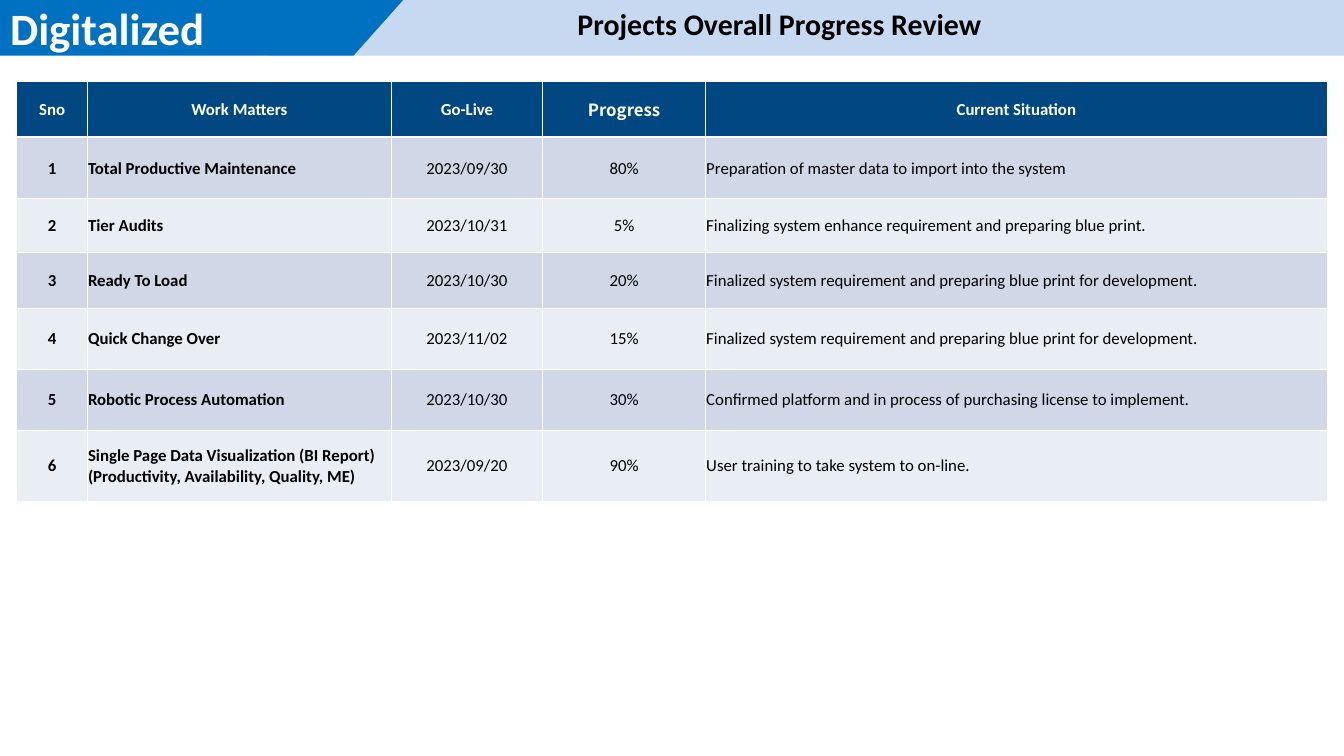
from lxml import etree
from pptx import Presentation
from pptx import util as u
from pptx.dml.color import RGBColor
from pptx.enum import text
from pptx.oxml import ns

CELL = u.Inches(0.25)
GRID_COLUMNS, GRID_ROWS = 80, 45

WHITE = RGBColor(0xFF, 0xFF, 0xFF)
BLACK = RGBColor(0x00, 0x00, 0x00)
PALE_BLUE = RGBColor(0xC6, 0xD9, 0xF1)
BRIGHT_BLUE = RGBColor(0x00, 0x70, 0xC0)
NAVY = RGBColor(0x01, 0x47, 0x82)
ROW_FILLS = RGBColor(0xD0, 0xD8, 0xE8), RGBColor(0xE9, 0xED, 0xF4)

FONT = "Calibri"
PROGRESS_FONT = "Noto Sans CJK SC"
CENTER, LEFT = text.PP_ALIGN.CENTER, text.PP_ALIGN.LEFT

COLUMN_WIDTHS = 4.2, 18.1, 9, 9.7, 37
COLUMN_ALIGNMENTS = CENTER, LEFT, CENTER, CENTER, LEFT
BOLD_COLUMNS = 0, 1
ROW_HEIGHTS = 3.33, 3.67, 3.17, 3.33, 3.64, 3.64, 4.22
HEADINGS = "Sno", "Work Matters", "Go-Live", "Progress", "Current Situation"
PROJECTS = [
    ("Total Productive Maintenance", "2023/09/30", "80%",
     "Preparation of master data to import into the system"),
    ("Tier Audits", "2023/10/31", "5%",
     "Finalizing system enhance requirement and preparing blue print."),
    ("Ready To Load", "2023/10/30", "20%",
     "Finalized system requirement and preparing blue print for development."),
    ("Quick Change Over", "2023/11/02", "15%",
     "Finalized system requirement and preparing blue print for development."),
    ("Robotic Process Automation", "2023/10/30", "30%",
     "Confirmed platform and in process of purchasing license to implement."),
    ("Single Page Data Visualization (BI Report)\n(Productivity, Availability, Quality, ME)",
     "2023/09/20", "90%", "User training to take system to on-line."),
]


def grid(value):
    return u.Emu(round(value * CELL))


def format_paragraphs(frame, size, color, bold, alignment, font_name=FONT):
    for paragraph in frame.paragraphs:
        paragraph.alignment = alignment
        paragraph.font.size = u.Pt(size)
        paragraph.font.name = font_name
        paragraph.font.bold = bold
        paragraph.font.color.rgb = color


def set_insets(target, left, top, right, bottom):
    target.margin_left, target.margin_top = u.Inches(left), u.Inches(top)
    target.margin_right, target.margin_bottom = u.Inches(right), u.Inches(bottom)


def add_polygon(slide, points, color):
    corners = [(grid(x), grid(y)) for x, y in points]
    builder = slide.shapes.build_freeform(*corners[0])
    builder.add_line_segments(corners[1:], close=True)
    shape = builder.convert_to_shape()
    shape.shadow.inherit = False
    shape.fill.solid()
    shape.fill.fore_color.rgb = color
    shape.line.fill.background()
    return shape


def add_header(slide, left, top, width, height):
    right, bottom = left + width, top + height
    add_polygon(slide, [(left + 0.22 * width, top), (right, top), (right, bottom),
                        (left + 0.2 * width, bottom)], PALE_BLUE)

    title = slide.shapes.title
    title.left, title.top = grid(left + 0.27 * width), grid(top - 0.04)
    title.width, title.height = grid(0.62 * width), grid(0.89 * height)
    frame = title.text_frame
    frame.text = "Projects Overall Progress Review"
    frame.word_wrap = True
    frame.auto_size = text.MSO_AUTO_SIZE.NONE
    frame.vertical_anchor = text.MSO_ANCHOR.TOP
    set_insets(frame, 0.2, 0.1, 0.2, 0.1)
    format_paragraphs(frame, 32, BLACK, True, CENTER)
    slide.shapes._spTree.append(title._element)

    tag = add_polygon(slide, [(left, top), (left + 0.3 * width, top),
                              (left + 0.263 * width, bottom), (left, bottom)], BRIGHT_BLUE)
    frame = tag.text_frame
    frame.text = "Digitalized"
    frame.word_wrap = True
    frame.vertical_anchor = text.MSO_ANCHOR.MIDDLE
    set_insets(frame, 0.15, 0.07, 0.15, 0.07)
    format_paragraphs(frame, 48, WHITE, True, LEFT)


def set_borders(cell, top_width, bottom_width):
    properties = cell._tc.get_or_add_tcPr()
    widths = {"a:lnL": 1, "a:lnR": 1, "a:lnT": top_width, "a:lnB": bottom_width}
    for index, (tag, width) in enumerate(widths.items()):
        line = etree.Element(ns.qn(tag), w=str(u.Pt(width)))
        fill = etree.SubElement(line, ns.qn("a:solidFill"))
        etree.SubElement(fill, ns.qn("a:srgbClr"), val=str(WHITE))
        properties.insert(index, line)


def add_progress_table(slide, left, top, width, height):
    rows = [HEADINGS] + [(str(number), *project)
                         for number, project in enumerate(PROJECTS, 1)]
    table = slide.shapes.add_table(len(rows), len(HEADINGS), grid(left), grid(top),
                                   grid(width), grid(height)).table
    for column, share in zip(table.columns, COLUMN_WIDTHS):
        column.width = grid(width * share / sum(COLUMN_WIDTHS))
    for row, share in zip(table.rows, ROW_HEIGHTS):
        row.height = grid(height * share / sum(ROW_HEIGHTS))

    for row_index, values in enumerate(rows):
        heading = row_index == 0
        for column_index, value in enumerate(values):
            cell = table.cell(row_index, column_index)
            cell.text = value
            cell.vertical_anchor = text.MSO_ANCHOR.MIDDLE
            set_insets(cell, 0.01, 0.01, 0.01, 0)
            cell.fill.solid()
            cell.fill.fore_color.rgb = NAVY if heading else ROW_FILLS[(row_index - 1) % 2]
            set_borders(cell, 3 if row_index == 1 else 1, 3 if heading else 1)
            format_paragraphs(
                cell.text_frame, 18, WHITE if heading else BLACK,
                heading or column_index in BOLD_COLUMNS,
                CENTER if heading else COLUMN_ALIGNMENTS[column_index],
                PROGRESS_FONT if value == "Progress" else FONT)


def main():
    presentation = Presentation()
    presentation.slide_width = grid(GRID_COLUMNS)
    presentation.slide_height = grid(GRID_ROWS)
    slide = presentation.slides.add_slide(presentation.slide_layouts[5])
    add_header(slide, 0, 0, GRID_COLUMNS, 3.32)
    add_progress_table(slide, 1, 4.84, GRID_COLUMNS - 2, 25)
    presentation.save("out.pptx")


if __name__ == "__main__":
    main()
